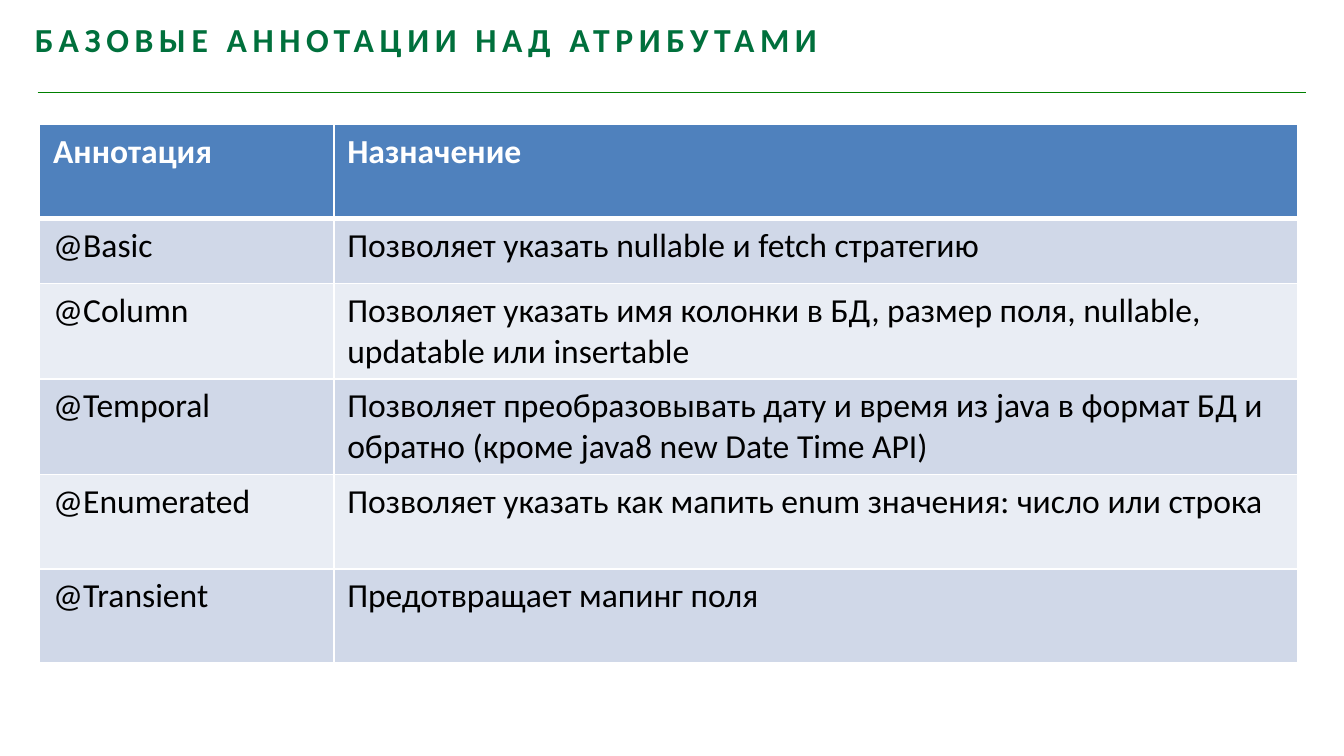
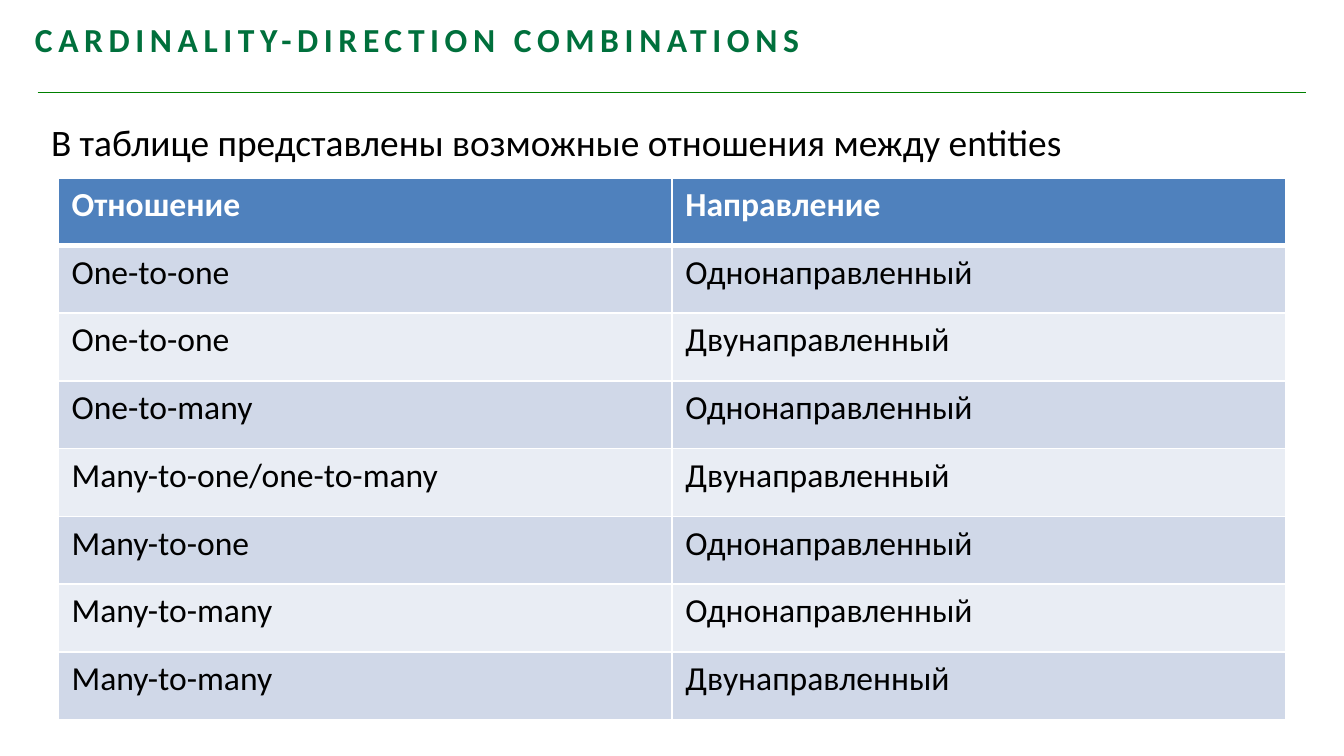
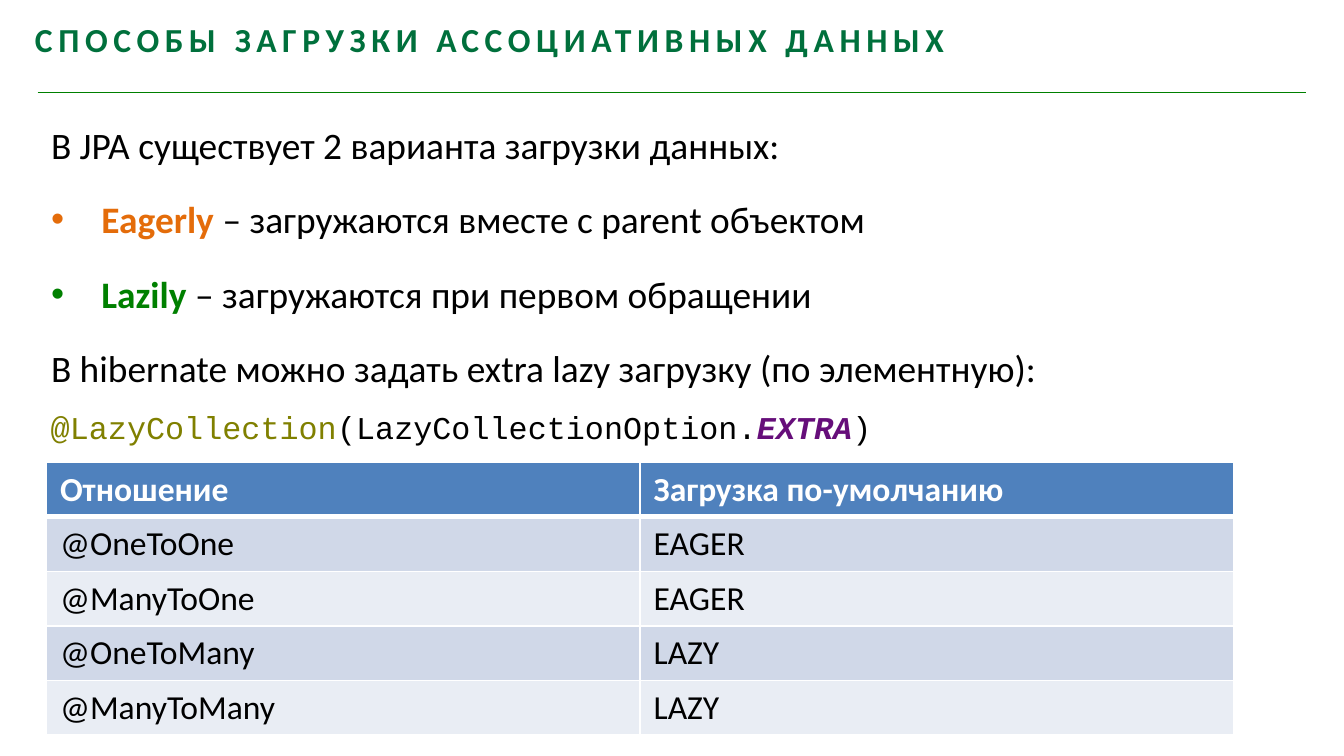
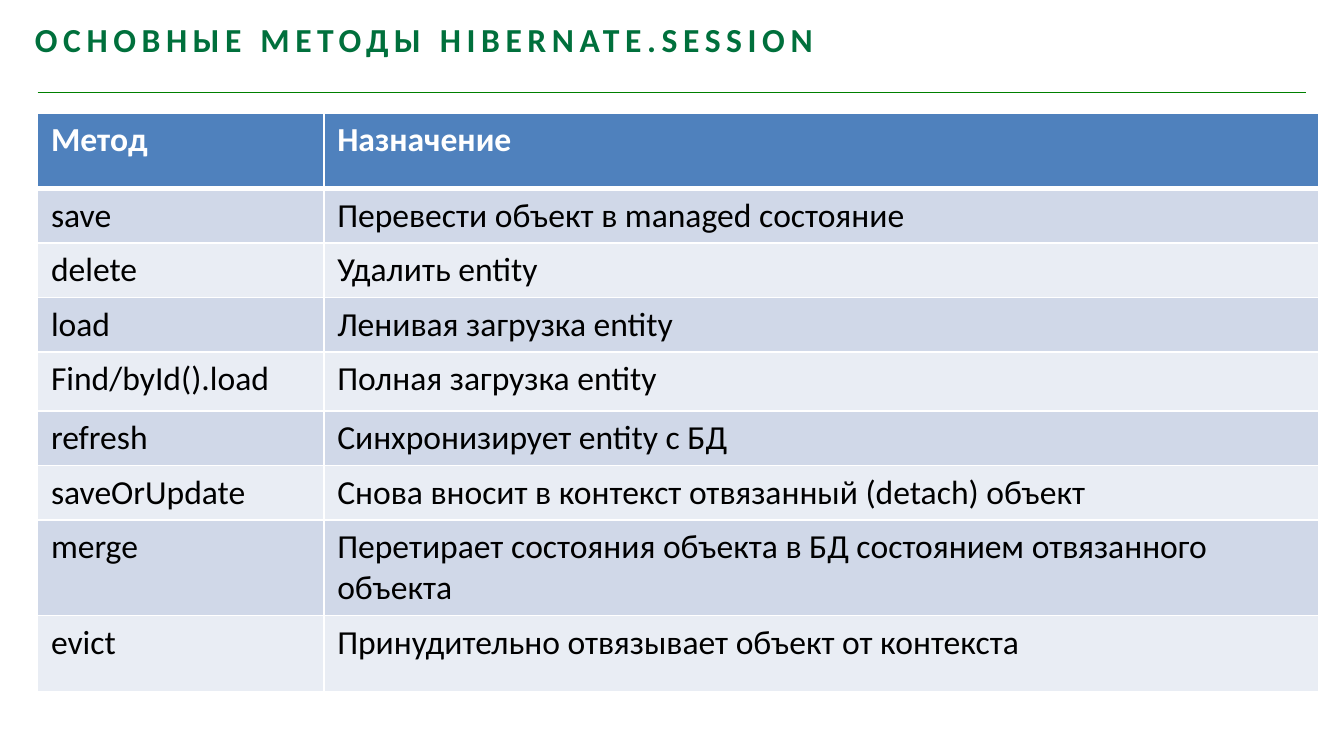
from lxml.etree import SubElement as add_node
from pptx import Presentation
from pptx.dml.color import RGBColor
from pptx.enum.shapes import MSO_CONNECTOR as Connector, MSO_SHAPE as Preset
from pptx.enum.text import MSO_ANCHOR as Anchor, MSO_AUTO_SIZE as AutoSize, PP_ALIGN as Align
from pptx.oxml.ns import qn
from pptx.util import Cm, Pt

WHITE, BLACK = "FFFFFF", "000000"
TITLE_GREEN, GREEN, ORANGE = "00703C", "008000", "E46C0A"
OLIVE, PURPLE = "808000", "660E7A"
HEADER_BLUE, BANDS = "4F81BD", ("D0D8E8", "E9EDF4")

TITLE_LAYOUT, BODY_LAYOUT = 5, 1
TITLE_AT = (0.66, 0.23, 18.21, 0.89)
TITLE_FRAME = {"margin_left": 0, "margin_top": Cm(0.13), "margin_right": Cm(0.25),
               "margin_bottom": 0, "vertical_anchor": Anchor.TOP,
               "auto_size": AutoSize.NONE, "word_wrap": True}
BODY_FRAME = {"vertical_anchor": Anchor.TOP, "auto_size": AutoSize.NONE, "word_wrap": True}
CODE_FRAME = {"vertical_anchor": Anchor.MIDDLE, "word_wrap": True}

TITLE_FONT = {"name": "Calibri", "size": Pt(18), "bold": True}
BODY_FONT = {"name": "Calibri", "size": Pt(20), "bold": False}
CELL_FONT = {"name": "Calibri", "size": Pt(18), "bold": False}
CODE_FONT = {"name": "Courier New", "size": Pt(17), "bold": False}
STRONG = {"bold": True}

ROW = 1.03
TALL_ROW = 1.78
TWO_LINES = 1.8


def apply(target, values):
    """Set every attribute named in a dict of format values."""
    for name, value in values.items():
        setattr(target, name, value)


def rgb(color):
    """Turn a hex string into a colour."""
    return RGBColor.from_string(color)


def fill(target, color):
    """Give a shape or cell a solid fill."""
    target.fill.solid()
    target.fill.fore_color.rgb = rgb(color)


def place(box, left, top, width, height):
    """Move and size a box, in centimetres."""
    apply(box, {"left": Cm(left), "top": Cm(top), "width": Cm(width), "height": Cm(height)})


def write(para, text, font, color=BLACK):
    """Add one formatted span to a paragraph."""
    span = para.add_run()
    span.text = text
    apply(span.font, font)
    span.font.color.rgb = rgb(color)
    return span


def unbullet(para):
    """Remove the bullet and hanging indent of a list paragraph."""
    props = para._p.get_or_add_pPr()
    props.set("marL", "0")
    props.set("indent", "0")
    add_node(props, qn("a:buNone"))


def add_rule(page):
    """Draw the green line under the title."""
    rule = page.shapes.add_connector(Connector.STRAIGHT, Cm(0.71), Cm(1.75), Cm(24.69), Cm(1.75))
    rule.line.color.rgb = rgb(GREEN)
    rule.line.width = Pt(0.75)
    add_node(rule._element.spPr, qn("a:effectLst"))


def add_page(deck, layout, title):
    """Add a page with its title and rule."""
    page = deck.slides.add_slide(deck.slide_layouts[layout])
    box = page.shapes.title
    place(box, *TITLE_AT)
    apply(box.text_frame, TITLE_FRAME)
    para = box.text_frame.paragraphs[0]
    apply(para, {"alignment": Align.LEFT, "space_before": Pt(3.6)})
    span = write(para, title, TITLE_FONT, TITLE_GREEN)
    span.font._element.set("spc", "300")
    add_rule(page)
    return page


def fill_body(page, top, items, spacing=1.0):
    """Write (bulleted, spans) items into the body placeholder."""
    box = page.placeholders[1]
    place(box, 0.71, top, 24, 11.2)
    frame = box.text_frame
    apply(frame, BODY_FRAME)
    for index, (bulleted, spans) in enumerate(items):
        para = frame.add_paragraph() if index else frame.paragraphs[0]
        para.line_spacing = spacing
        if not bulleted:
            unbullet(para)
        for text, color, extra in spans:
            write(para, text, BODY_FONT | extra, color)


def add_code(page, at, spans):
    """Add a white box with one line of coloured code."""
    box = page.shapes.add_shape(Preset.RECTANGLE, 0, 0, 0, 0)
    place(box, *at)
    box.shadow.inherit = False
    fill(box, WHITE)
    box.line.fill.background()
    apply(box.text_frame, CODE_FRAME)
    para = box.text_frame.paragraphs[0]
    para.alignment = Align.LEFT
    for text, color, extra in spans:
        write(para, text, CODE_FONT | extra, color)


def border(cell, widths):
    """Draw white cell borders with the given point widths by side."""
    props = cell._tc.get_or_add_tcPr()
    for side, width in widths.items():
        edge = add_node(props, qn(f"a:ln{side}"), w=str(Pt(width)))
        add_node(add_node(edge, qn("a:solidFill")), qn("a:srgbClr"), val=WHITE)


def add_grid(page, left, top, columns, heights, rows):
    """Add a table with a blue header and two alternating bands."""
    table = page.shapes.add_table(len(rows), len(columns), Cm(left), Cm(top),
                                  Cm(sum(columns)), Cm(sum(heights))).table
    for column, width in zip(table.columns, columns):
        column.width = Cm(width)
    for index, (row, height, texts) in enumerate(zip(table.rows, heights, rows)):
        row.height = Cm(height)
        header = index == 0
        widths = {"L": 1, "R": 1, "T": 3 if index == 1 else 1, "B": 3 if header else 1}
        for cell, text in zip(row.cells, texts):
            border(cell, widths)
            fill(cell, HEADER_BLUE if header else BANDS[(index - 1) % 2])
            write(cell.text_frame.paragraphs[0], text, CELL_FONT | {"bold": header},
                  WHITE if header else BLACK)


def annotations_page(deck):
    """Build the page on attribute annotations."""
    page = add_page(deck, TITLE_LAYOUT, "БАЗОВЫЕ АННОТАЦИИ НАД АТРИБУТАМИ")
    heights = [TALL_ROW, 1.23, TWO_LINES, TWO_LINES, TALL_ROW, TALL_ROW]
    add_grid(page, 0.75, 2.35, (5.56, 18.21), heights, [
        ("Аннотация", "Назначение"),
        ("@Basic", "Позволяет указать nullable и fetch стратегию"),
        ("@Column", "Позволяет указать имя колонки в БД, размер поля, nullable, "
                    "updatable или insertable"),
        ("@Temporal", "Позволяет преобразовывать дату и время из java в формат БД и "
                      "обратно (кроме java8 new Date Time API)"),
        ("@Enumerated", "Позволяет указать как мапить enum значения: число или строка"),
        ("@Transient", "Предотвращает мапинг поля"),
    ])


def cardinality_page(deck):
    """Build the page on relation kinds and directions."""
    page = add_page(deck, BODY_LAYOUT, "CARDINALITY-DIRECTION COMBINATIONS")
    fill_body(page, 2.13, [
        (False, [("В таблице представлены возможные отношения между entities", BLACK, {})]),
    ])
    one_way, two_way = "Однонаправленный", "Двунаправленный"
    rows = [
        ("Отношение", "Направление"),
        ("One-to-one", one_way),
        ("One-to-one", two_way),
        ("One-to-many", one_way),
        ("Many-to-one/one-to-many", two_way),
        ("Many-to-one", one_way),
        ("Many-to-many", one_way),
        ("Many-to-many", two_way),
    ]
    add_grid(page, 1.1, 3.36, (11.6, 11.6), [1.28] * len(rows), rows)


def loading_page(deck):
    """Build the page on ways of loading associated data."""
    page = add_page(deck, BODY_LAYOUT, "СПОСОБЫ ЗАГРУЗКИ АССОЦИАТИВНЫХ ДАННЫХ")
    fill_body(page, 1.75, [
        (False, [("В JPA существует 2 варианта загрузки данных:", BLACK, {})]),
        (True, [("Eagerly ", ORANGE, STRONG),
                ("– загружаются вместе с parent объектом", BLACK, {})]),
        (True, [("Lazily ", GREEN, STRONG),
                ("– загружаются при первом обращении", BLACK, {})]),
        (False, [("В hibernate можно задать extra lazy загрузку (по элементную):", BLACK, {})]),
    ], spacing=1.5)
    add_code(page, (0.71, 7.57, 16.2, 0.99), [
        ("@LazyCollection", OLIVE, {}),
        ("(LazyCollectionOption.", BLACK, {}),
        ("EXTRA", PURPLE, STRONG | {"italic": True}),
        (")", BLACK, {}),
    ])
    rows = [
        ("Отношение", "Загрузка по-умолчанию"),
        ("@OneToOne", "EAGER"),
        ("@ManyToOne", "EAGER"),
        ("@OneToMany", "LAZY"),
        ("@ManyToMany", "LAZY"),
    ]
    add_grid(page, 0.88, 8.74, (11.22, 11.22), [ROW] * len(rows), rows)


def session_page(deck):
    """Build the page on the session methods."""
    page = add_page(deck, TITLE_LAYOUT, "ОСНОВНЫЕ МЕТОДЫ HIBERNATE.SESSION")
    heights = [1.42, ROW, ROW, ROW, 1.12, ROW, ROW, TWO_LINES, 1.45]
    add_grid(page, 0.71, 2.14, (5.41, 18.8), heights, [
        ("Метод", "Назначение"),
        ("save", "Перевести объект в managed состояние"),
        ("delete", "Удалить entity"),
        ("load", "Ленивая загрузка entity"),
        ("Find/byId().load", "Полная загрузка entity"),
        ("refresh", "Синхронизирует entity с БД"),
        ("saveOrUpdate", "Снова вносит в контекст отвязанный (detach) объект"),
        ("merge", "Перетирает состояния объекта в БД состоянием отвязанного объекта"),
        ("evict", "Принудительно отвязывает объект от контекста"),
    ])


def main():
    """Build the deck and save it."""
    deck = Presentation()
    apply(deck, {"slide_width": Cm(25.4), "slide_height": Cm(14.29)})
    for build in (annotations_page, cardinality_page, loading_page, session_page):
        build(deck)
    deck.save("out.pptx")


main()
